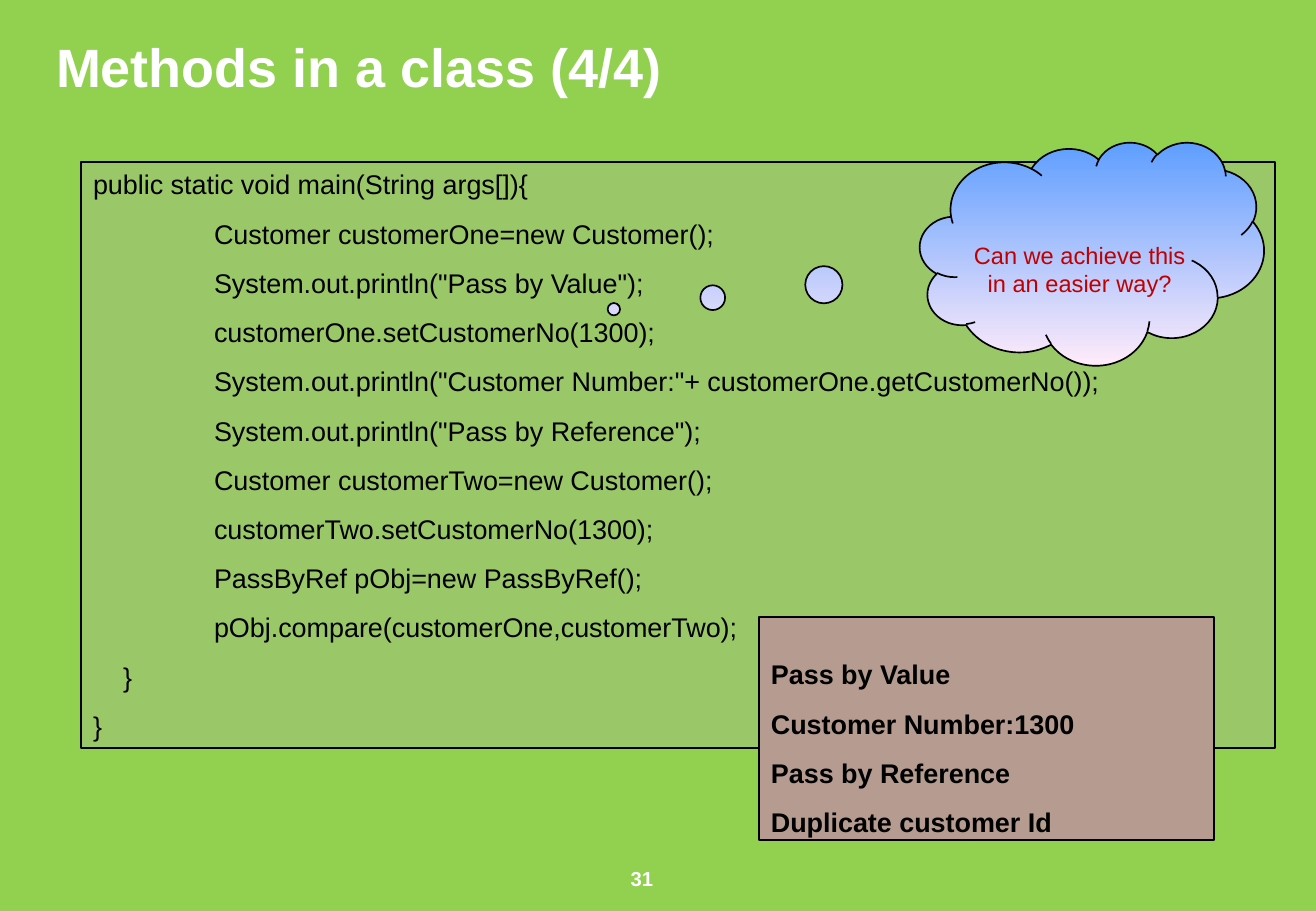
from dataclasses import dataclass

from lxml.etree import SubElement
from pptx import Presentation
from pptx.dml.color import RGBColor
from pptx.enum.shapes import MSO_SHAPE as Shape
from pptx.enum.text import MSO_ANCHOR as Anchor, PP_ALIGN as Align
from pptx.oxml import parse_xml
from pptx.oxml.ns import qn
from pptx.util import Pt

EMU_PER_PX = 7532
DRAWING_NS = "http://schemas.openxmlformats.org/drawingml/2006/main"
TEXT_SHADOW = (
    f'<a:effectLst xmlns:a="{DRAWING_NS}">'
    '<a:outerShdw dist="38100" dir="2700000" algn="tl">'
    '<a:srgbClr val="000000"/></a:outerShdw></a:effectLst>'
)


def px(length):
    return length * EMU_PER_PX


@dataclass(frozen=True)
class Theme:
    font: str = "Arial"
    background: str = "92D050"
    light: str = "FFFFFF"
    dark: str = "000000"
    question: str = "C00000"
    code_fill: str = "B2B2B2"
    code_opacity: int = 25
    output_fill: str = "B69C90"
    cloud_top: str = "5E9EFF"
    cloud_bottom: str = "FFEBFA"
    title_size: int = 32
    body_size: int = 16
    cloud_size: int = 14
    number_size: int = 12


class SlideBuilder:
    def __init__(self, page, theme):
        self.page = page
        self.theme = theme
        fill = page.background.fill
        fill.solid()
        fill.fore_color.rgb = RGBColor.from_string(theme.background)

    def set_text(self, box, lines, size, color, bold=False, align=Align.LEFT,
                 anchor=Anchor.TOP, insets=(12, 6, 12, 6), gap=0,
                 indents=None, shadow=False):
        frame = box.text_frame
        frame.word_wrap = True
        frame.vertical_anchor = anchor
        (frame.margin_left, frame.margin_top,
         frame.margin_right, frame.margin_bottom) = map(px, insets)
        frame.text = "\n".join(lines)
        for index, para in enumerate(frame.paragraphs):
            para.alignment = align
            para.space_before = Pt(gap if index else 0)
            if indents:
                para._p.get_or_add_pPr().set("marL", str(px(indents[index])))
            for span in para.runs:
                font = span.font
                font.size = Pt(size)
                font.bold = bold
                font.color.rgb = RGBColor.from_string(color)
                if shadow:
                    fill = font._element.find(qn("a:solidFill"))
                    fill.addnext(parse_xml(TEXT_SHADOW))
                font.name = self.theme.font

    def label(self, bounds, text, size, **style):
        box = self.page.shapes.add_textbox(*map(px, bounds))
        self.set_text(box, [text], size, self.theme.light, bold=True,
                      shadow=True, **style)

    def outlined(self, kind, bounds):
        box = self.page.shapes.add_shape(kind, *map(px, bounds))
        box.shadow.inherit = False
        box.line.color.rgb = RGBColor.from_string(self.theme.dark)
        box.line.width = Pt(1)
        return box

    def panel(self, bounds, lines, fill, opacity=100, **style):
        box = self.outlined(Shape.RECTANGLE, bounds)
        box.fill.solid()
        box.fill.fore_color.rgb = RGBColor.from_string(fill)
        if opacity < 100:
            color = box._element.spPr.find(qn("a:solidFill"))[0]
            SubElement(color, qn("a:alpha")).set("val", str(opacity * 1000))
        self.set_text(box, lines, self.theme.body_size, self.theme.dark,
                      gap=10, **style)

    def thought(self, bounds, tail, text):
        cloud = self.outlined(Shape.CLOUD_CALLOUT, bounds)
        for index, offset in enumerate(tail):
            cloud.adjustments[index] = offset
        cloud.fill.gradient()
        cloud.fill.gradient_angle = 270
        ends = (self.theme.cloud_top, self.theme.cloud_bottom)
        for position, (stop, color) in enumerate(
                zip(cloud.fill.gradient_stops, ends)):
            stop.position = position
            stop.color.rgb = RGBColor.from_string(color)
        self.set_text(cloud, [text], self.theme.cloud_size,
                      self.theme.question, align=Align.CENTER,
                      anchor=Anchor.MIDDLE, insets=(0, 48, 0, 6))


def main():
    theme = Theme()
    deck = Presentation()
    deck.slide_width, deck.slide_height = px(1316), px(911)
    slide = SlideBuilder(deck.slides.add_slide(deck.slide_layouts[6]), theme)

    statements = [
        "Customer customerOne=new Customer();",
        'System.out.println("Pass by Value");',
        "customerOne.setCustomerNo(1300);",
        'System.out.println("Customer Number:"+ customerOne.getCustomerNo());',
        'System.out.println("Pass by Reference");',
        "Customer customerTwo=new Customer();",
        "customerTwo.setCustomerNo(1300);",
        "PassByRef pObj=new PassByRef();",
        "pObj.compare(customerOne,customerTwo);",
    ]
    code = ["public static void main(String args[]){", *statements, "}", "}"]
    code_indents = [0, *[121] * len(statements), 30, 0]
    output = ["Pass by Value", "Customer Number:1300",
              "Pass by Reference", "Duplicate customer Id"]

    slide.label((586, 860, 112, 63), "31", theme.number_size,
                align=Align.CENTER)
    slide.label((44, 1, 1072, 129), "Methods in a class (4/4)",
                theme.title_size, anchor=Anchor.MIDDLE)
    slide.panel((81, 162, 1194, 586), code, theme.code_fill,
                theme.code_opacity, indents=code_indents)
    slide.panel((759, 617, 455, 223), output, theme.output_fill, bold=True,
                anchor=Anchor.BOTTOM, insets=(12, 6, 12, 2))
    slide.thought((920, 142, 344, 223), (-1.39, 0.25),
                  "Can we achieve this in an easier way?")
    deck.save("out.pptx")


if __name__ == "__main__":
    main()
